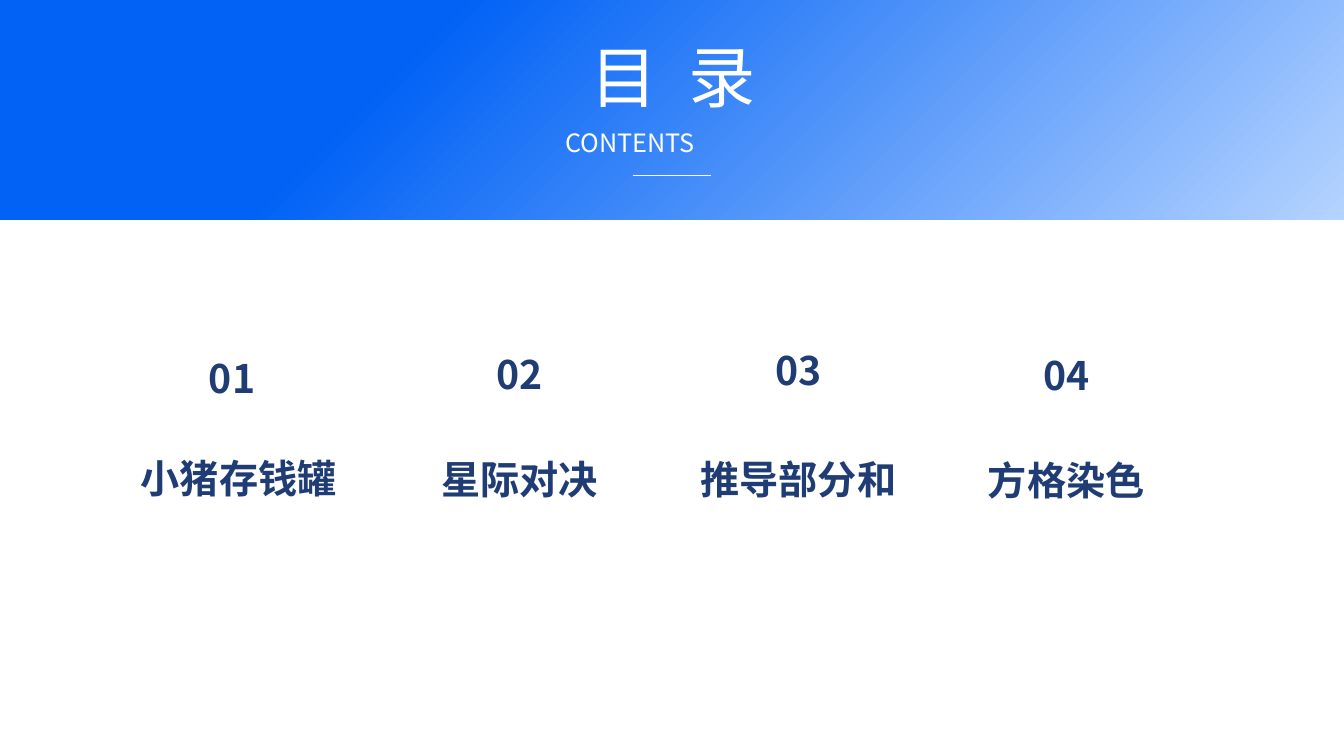
import pptx
import pptx.dml.color
import pptx.enum.shapes
import pptx.enum.text
import pptx.util
from lxml import etree

Pt = pptx.util.Pt
ALIGN = pptx.enum.text.PP_ALIGN
WHITE, NAVY = "FFFFFF", "1F3D74"

# (number, left, top), (topic, left, top)
TOPICS = [
    (("01", 270, 502.5), ("小猪存钱罐", 174.25, 645)),
    (("02", 681, 497), ("星际对决", 575.25, 646)),
    (("03", 1079.25, 491), ("推导部分和", 973.5, 646)),
    (("04", 1462.25, 498.25), ("方格染色", 1356.5, 647.25)),
]


def color(value):
    return pptx.dml.color.RGBColor.from_string(value)


def assign(target, values):
    for name, value in values.items():
        setattr(target, name, value)


class SlideBuilder:
    font = "Noto Sans CJK SC"

    def __init__(self, page):
        self.page = page

    def gradient_band(self, left, top, width, height, stops, angle):
        band = self.page.shapes.add_shape(
            pptx.enum.shapes.MSO_SHAPE.ROUNDED_RECTANGLE,
            Pt(left), Pt(top), Pt(width), Pt(height))
        band.adjustments[0] = 0
        band.shadow.inherit = False
        band.line.fill.background()
        band.fill.gradient()
        band.fill.gradient_angle = angle
        for stop, (position, value) in zip(band.fill.gradient_stops, stops):
            stop.position = position
            stop.color.rgb = color(value)

    def text(self, words, left, top, width, height, size,
             value=NAVY, bold=False, align=ALIGN.CENTER):
        box = self.page.shapes.add_textbox(
            Pt(left), Pt(top), Pt(width), Pt(height))
        assign(box.text_frame, {
            "word_wrap": True,
            "vertical_anchor": pptx.enum.text.MSO_ANCHOR.MIDDLE,
            "margin_left": Pt(7), "margin_right": Pt(7),
            "margin_top": 0, "margin_bottom": 0})
        para = box.text_frame.paragraphs[0]
        para.alignment = align
        span = para.add_run()
        span.text = words
        assign(span.font, {"name": self.font, "size": Pt(size), "bold": bold})
        span.font.color.rgb = color(value)
        east_asian = etree.SubElement(
            span.font._element, pptx.oxml.ns.qn("a:ea"))
        east_asian.set("typeface", self.font)

    def rule(self, left, right, top, value, width):
        line = self.page.shapes.add_connector(
            pptx.enum.shapes.MSO_CONNECTOR.STRAIGHT,
            Pt(left), Pt(top), Pt(right), Pt(top))
        line.line.color.rgb = color(value)
        line.line.width = Pt(width)
        etree.SubElement(line._element.spPr, pptx.oxml.ns.qn("a:effectLst"))


def main():
    deck = pptx.Presentation()
    assign(deck, {"slide_width": Pt(1920.25), "slide_height": Pt(1080)})
    page = deck.slides.add_slide(deck.slide_layouts[6])
    builder = SlideBuilder(page)

    builder.gradient_band(0, -16.5, 1920.25, 330.5,
                          [(0.3, "0162F5"), (1, "B4D3FF")], 315)
    builder.text("目  录", 736.5, 45.5, 450, 124, 96, WHITE)
    builder.text("CONTENTS", 800.5, 178.5, 319, 51, 36, WHITE,
                 align=ALIGN.JUSTIFY)
    builder.rule(904.25, 1016, 251.25, WHITE, 1.75)

    for number, topic in TOPICS:
        builder.text(*number, 123, 75, 56, bold=True)
        builder.text(*topic, 334, 75, 56, bold=True)

    deck.save("out.pptx")


if __name__ == "__main__":
    main()
